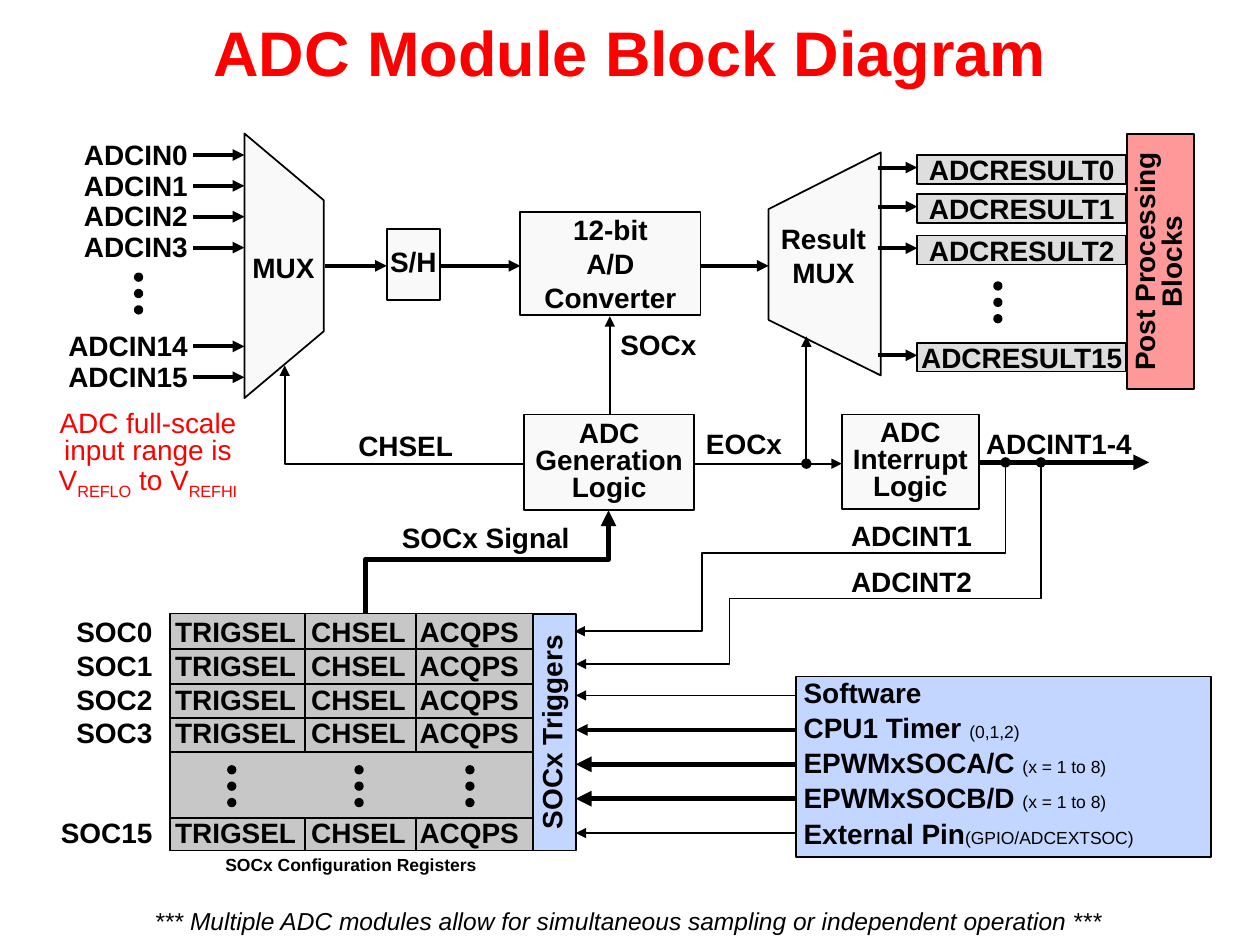
from dataclasses import dataclass

from lxml import etree
from pptx import Presentation
from pptx.dml.color import RGBColor
from pptx.enum.shapes import MSO_CONNECTOR, MSO_SHAPE
from pptx.enum.text import MSO_ANCHOR, MSO_AUTO_SIZE, PP_ALIGN
from pptx.oxml.ns import qn
from pptx.slide import Slide
from pptx.util import Inches, Pt

COLORS = {
    "black": "000000", "red": "FF0000", "block": "F9F9F9", "result": "DEDEDE",
    "register": "C7C7C7", "trigger": "C2D6FF", "post": "FF9999",
}
LEFT, CENTER, RIGHT = PP_ALIGN.LEFT, PP_ALIGN.CENTER, PP_ALIGN.RIGHT


def rgb(name):
    return RGBColor.from_string(COLORS[name])


def set_font(font, size=16, color="black", bold=True, italic=False):
    font.name = "Arial"
    font.size = Pt(size)
    font.color.rgb = rgb(color)
    font.bold = bold
    font.italic = italic


def add_tabs(paragraph, tabs):
    tab_list = etree.SubElement(paragraph._p.get_or_add_pPr(), qn("a:tabLst"))
    for position, align in tabs:
        etree.SubElement(tab_list, qn("a:tab"), pos=str(Inches(position)), algn=align)


def write(frame, lines, align=CENTER, spacing=None, tabs=(), **font):
    for index, line in enumerate(lines):
        paragraph = frame.add_paragraph() if index else frame.paragraphs[0]
        paragraph.add_run().text = line
        paragraph.alignment = align
        if spacing:
            paragraph.line_spacing = spacing
        if tabs:
            add_tabs(paragraph, tabs)
        set_font(paragraph.font, **font)


@dataclass
class Region:
    """Part of the slide whose items are placed from its top left corner, in inches."""
    slide: Slide
    left: float
    top: float

    def point(self, x, y):
        return Inches(self.left + x), Inches(self.top + y)

    def text(self, x, y, width, height, lines, inset=True, wrap=False, **style):
        box = self.slide.shapes.add_textbox(*self.point(x, y), Inches(width), Inches(height))
        frame = box.text_frame
        frame.word_wrap = wrap
        frame.auto_size = MSO_AUTO_SIZE.SHAPE_TO_FIT_TEXT
        if not inset:
            frame.margin_left = frame.margin_right = frame.margin_top = frame.margin_bottom = 0
        write(frame, lines, **style)
        return frame

    def paint(self, shape, fill):
        shape.shadow.inherit = False
        shape.fill.solid()
        shape.fill.fore_color.rgb = rgb(fill)
        shape.line.color.rgb = rgb("black")
        shape.line.width = Pt(1)

    def block(self, x, y, width, height, fill, lines=(), kind=MSO_SHAPE.RECTANGLE,
              rotation=0, wrap=False, **style):
        shape = self.slide.shapes.add_shape(
            kind, *self.point(x, y), Inches(width), Inches(height))
        self.paint(shape, fill)
        shape.rotation = rotation
        if lines:
            frame = shape.text_frame
            frame.word_wrap = wrap
            frame.vertical_anchor = MSO_ANCHOR.MIDDLE
            write(frame, lines, **style)

    def outline(self, points, close):
        start, *rest = [self.point(*point) for point in points]
        builder = self.slide.shapes.build_freeform(*start)
        builder.add_line_segments(rest, close=close)
        return builder.convert_to_shape()

    def mux(self, points):
        self.paint(self.outline(points, True), "block")

    def wire(self, *points, width=1.0, start=None, end="triangle"):
        if len(points) == 2:
            shape = self.slide.shapes.add_connector(
                MSO_CONNECTOR.STRAIGHT, *self.point(*points[0]), *self.point(*points[1]))
        else:
            shape = self.outline(points, False)
            shape.fill.background()
        shape.line.color.rgb = rgb("black")
        shape.line.width = Pt(width)
        for tag, ending in (("a:headEnd", start), ("a:tailEnd", end)):
            if ending:
                etree.SubElement(shape.line._get_or_add_ln(), qn(tag), type=ending)
        etree.SubElement(shape._element.spPr, qn("a:effectLst"))

    def dots(self, x, y):
        for index in range(3):
            self.block(x, y + 0.13 * index, 0.06, 0.06, "black", kind=MSO_SHAPE.OVAL)


def add_inputs(region):
    for slot, number in zip((0, 1, 2, 3, 6.2, 7.2), (0, 1, 2, 3, 14, 15)):
        label = f"ADCIN{number}"
        width = 0.25 + 0.13 * len(label)
        y = 0.245 * slot
        region.text(1.15 - width, y, width, 0.37, [label], align=RIGHT)
        region.wire((1.09, y + 0.19), (1.5, y + 0.19), width=2.25)
    region.dots(0.63, 1.13)
    region.mux([(1.5, 0.02), (2.13, 0.55), (2.13, 1.59), (1.5, 2.12)])
    region.text(1.46, 0.9, 0.7, 0.37, ["MUX"])
    region.text(-0.23, 2.18, 1.93, 0.75, ["ADC full-scale input range is V"],
                wrap=True, spacing=0.8, color="red", bold=False)


def add_range_subscripts(frame):
    paragraph = frame.paragraphs[0]
    for text, baseline in (("REFLO", -25000), (" to V", 0), ("REFHI", -25000)):
        run = paragraph.add_run()
        run.text = text
        run.font._element.set("baseline", str(baseline))


def add_conversion(region):
    for start, end in ((0, 0.49), (0.91, 1.55), (2.92, 3.52)):
        region.wire((start, 0.43), (end, 0.43), width=2.25)
    region.block(0.49, 0.14, 0.42, 0.56, "block", ["S/H"], spacing=0.8)
    region.block(1.55, 0, 1.43, 0.82, "block", ["12-bit", "A/D", "Converter"])
    region.mux([(4.41, -0.47), (3.52, -0.02), (3.52, 0.86), (4.41, 1.3)])
    region.text(3.51, 0.03, 0.89, 0.64, ["Result", "MUX"])


def add_results(region):
    for y, number in ((0.16, 0), (0.47, 1), (0.8, 2), (1.65, 15)):
        region.wire((0, y + 0.1), (0.31, y + 0.1), width=2.25)
        region.block(0.31, y, 1.66, 0.23, "result", [f"ADCRESULT{number}"])
    region.dots(0.92, 1.17)
    region.block(1.23, 0.74, 2.02, 0.53, "post", ["Post Processing Blocks"],
                 rotation=270, wrap=True, spacing=0.8)


def add_control(region):
    region.wire((2.58, 0.01), (2.58, -0.78))
    region.wire((1.9, 0.39), (0, 0.39), (0, -0.39))
    region.wire((3.24, 0.39), (4.42, 0.39))
    region.wire((4.14, 0.39), (4.14, -0.62), start="oval")
    region.wire((5.51, 0.38), (6.86, 0.38), width=3)
    region.wire((5.72, 0.38), (5.72, 1.1), (3.31, 1.1), (3.31, 1.72), (2.3, 1.72), start="oval")
    region.wire((6, 0.38), (6, 1.46), (3.53, 1.46), (3.53, 1.98), (2.31, 1.98), start="oval")
    region.wire((0.64, 1.58), (0.64, 1.15), (2.57, 1.15), (2.57, 0.76), width=3)
    region.block(1.9, 0, 1.35, 0.76, "block", ["ADC", "Generation", "Logic"], spacing=0.8)
    region.block(4.42, 0, 1.09, 0.75, "block", ["ADC", "Interrupt", "Logic"], spacing=0.8)
    for x, y, width, label in (
            (2.56, -0.74, 0.81, "SOCx"), (3.24, 0.05, 0.81, "EOCx"),
            (0.48, 0.06, 0.96, "CHSEL"), (5.46, 0.05, 1.37, "ADCINT1-4"),
            (0.82, 0.79, 1.55, "SOCx Signal"), (4.39, 0.78, 1.17, "ADCINT1"),
            (4.39, 1.14, 1.17, "ADCINT2")):
        region.text(x, y, width, 0.37, [label])


def add_trigger_sources(region):
    region.block(1.75, 0, 3.29, 1.43, "trigger")
    sources = (
        ("Software", "", 1), ("CPU1 Timer ", "(0,1,2)", 2.25),
        ("EPWMxSOCA/C ", "(x = 1 to 8)", 3), ("EPWMxSOCB/D ", "(x = 1 to 8)", 3),
        ("External Pin", "(GPIO/ADCEXTSOC)", 1))
    for index, (name, detail, width) in enumerate(sources):
        y = 0.28 * index
        frame = region.text(1.71, y - 0.01, 3.38, 0.32, [name],
                            wrap=True, align=LEFT, spacing=0.8)
        if detail:
            run = frame.paragraphs[0].add_run()
            run.text = detail
            set_font(run.font, size=10, bold=False)
        arrow_y = 0.15 + 0.273 * index
        region.wire((1.75, arrow_y), (0, arrow_y), width=width)


def add_registers(region):
    region.block(0.87, 0, 2.88, 1.88, "register")
    rows = [f"\tSOC{number}\tTRIGSEL\tCHSEL\tACQPS" for number in (0, 1, 2, 3, 15)]
    frame = region.text(0, 0.01, 3.81, 1.88, rows, inset=False, align=LEFT,
                        tabs=((0.73, "r"), (0.91, "l"), (1.99, "l"), (2.85, "l")))
    frame.paragraphs[-1].space_before = Pt(38)
    for y in (0.28, 0.56, 0.83, 1.1, 1.62):
        region.wire((0.87, y), (3.75, y), end=None)
    for x in (1.94, 2.82):
        region.wire((x, 0), (x, 1.1), end=None)
        region.wire((x, 1.62), (x, 1.88), end=None)
    for x in (1.33, 2.34, 3.22):
        region.dots(x, 1.21)
    region.block(2.98, 0.77, 1.88, 0.34, "trigger", ["SOCx Triggers"],
                 rotation=270, spacing=0.8)
    region.text(1.21, 1.89, 2.22, 0.24, ["SOCx Configuration Registers"],
                align=LEFT, spacing=0.8, size=10)


def add_title(slide, text):
    title = slide.shapes.title
    title.left, title.top, title.width, title.height = 0, 0, Inches(10), Inches(0.81)
    title.text_frame.vertical_anchor = MSO_ANCHOR.MIDDLE
    write(title.text_frame, [text], size=36, color="red")


def main():
    presentation = Presentation()
    presentation.slide_width, presentation.slide_height = Inches(10), Inches(7.5)
    slide = presentation.slides.add_slide(presentation.slide_layouts[5])
    add_title(slide, "ADC Module Block Diagram")
    add_inputs(Region(slide, 0.44, 1.04))
    add_range_subscripts(slide.shapes[-1].text_frame)
    add_conversion(Region(slide, 2.58, 1.68))
    add_results(Region(slide, 6.97, 1.07))
    add_registers(Region(slide, 0.48, 4.87))
    add_control(Region(slide, 2.26, 3.29))
    add_trigger_sources(Region(slide, 4.57, 5.37))
    Region(slide, 1.12, 7.14).text(
        0, 0, 7.74, 0.34,
        ["*** Multiple ADC modules allow for simultaneous sampling or independent operation ***"],
        wrap=True, size=14, bold=False, italic=True)
    presentation.save("out.pptx")


if __name__ == "__main__":
    main()
